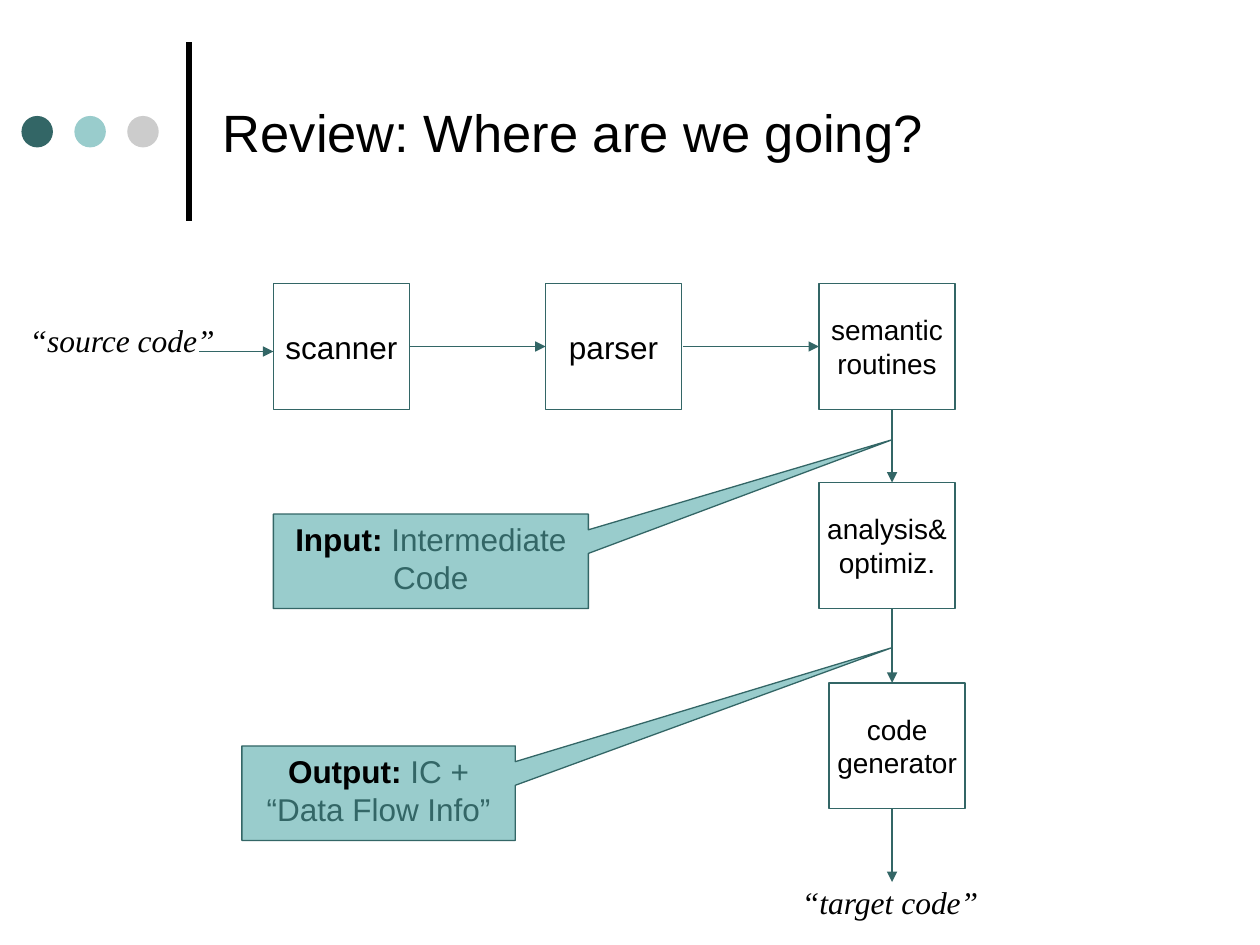
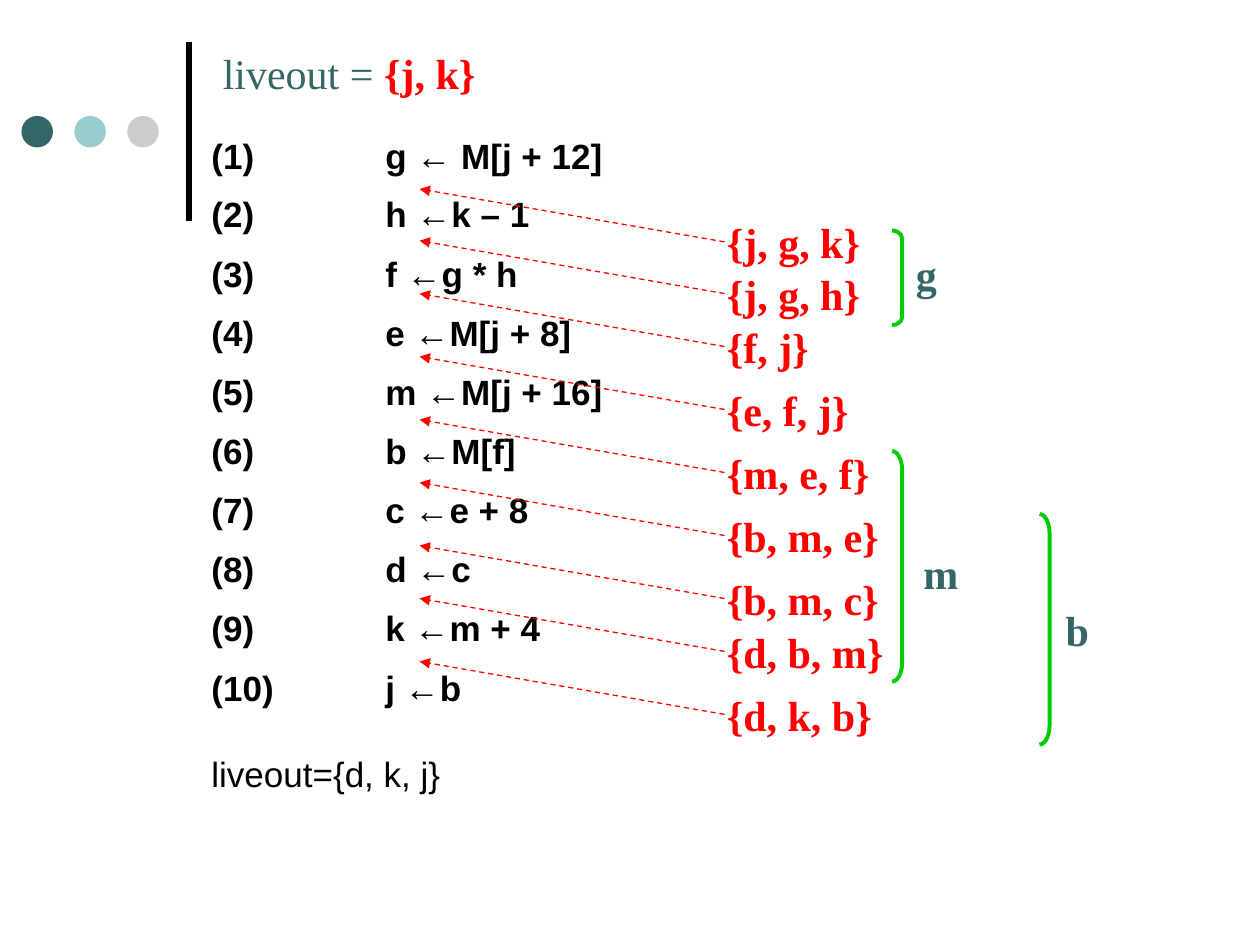
from lxml import etree
from pptx import Presentation
from pptx.dml.color import RGBColor
from pptx.enum.dml import MSO_LINE
from pptx.enum.shapes import MSO_CONNECTOR, MSO_SHAPE
from pptx.enum.text import MSO_ANCHOR, PP_ALIGN
from pptx.oxml.ns import qn
from pptx.util import Inches, Pt

RECTANGLE, ELLIPSE = MSO_SHAPE.RECTANGLE, MSO_SHAPE.OVAL
CALLOUT, BRACKET = MSO_SHAPE.RECTANGULAR_CALLOUT, MSO_SHAPE.RIGHT_BRACKET
STRAIGHT, DASH = MSO_CONNECTOR.STRAIGHT, MSO_LINE.DASH
LEFT, CENTER = PP_ALIGN.LEFT, PP_ALIGN.CENTER
TOP, MIDDLE = MSO_ANCHOR.TOP, MSO_ANCHOR.MIDDLE

# Shared look
COLORS = {"black": "000000", "white": "FFFFFF", "teal": "336666", "aqua": "99CCCC",
          "gray": "CCCCCC", "red": "FF0000", "green": "00CC00"}
SANS, SERIF = "Arial", "Times New Roman"
DOT_COLORS = ["teal", "aqua", "gray"]


def style(size, name=SANS, color="black", **extra):
    return {"size": Pt(size), "name": name, "color": color, **extra}


TITLE = style(30)
STAGE_LARGE, STAGE_SMALL = style(18), style(16)
CODE_NAME = style(18, SERIF, italic=True)
CALLOUT_HEAD, CALLOUT_BODY = style(18, bold=True), style(18, color="teal")
INSTRUCTION, SUMMARY = style(20, bold=True), style(20)
LIVE_HEAD = style(24, SERIF, "teal")
LIVE_SET = style(24, SERIF, "red", bold=True)
RANGE_NAME = style(24, SERIF, "teal", bold=True)

# Slide 1: compiler stages
PIPELINE_TITLE = "Review: Where are we going?"
STAGE_WIDTH, STAGE_HEIGHT = 1.08, 1
STAGES = [  # lines, left, top, style
    (["scanner"], 2.17, 2.25, STAGE_LARGE),
    (["parser"], 4.33, 2.25, STAGE_LARGE),
    (["semantic", "routines"], 6.5, 2.25, STAGE_SMALL),
    (["analysis&", "optimiz."], 6.5, 3.83, STAGE_SMALL),
    (["code", "generator"], 6.58, 5.42, STAGE_SMALL),
]
FLOW_X = 7.08
FLOW_ARROWS = [
    ((1.58, 2.79), (2.17, 2.79)), ((3.25, 2.75), (4.33, 2.75)), ((5.42, 2.75), (6.5, 2.75)),
    ((FLOW_X, 3.25), (FLOW_X, 3.83)), ((FLOW_X, 4.83), (FLOW_X, 5.42)),
    ((FLOW_X, 6.42), (FLOW_X, 7)),
]
CODE_NAMES = [("“target code”", (6.26, 6.96, 1.61, 0.4)),
              ("“source code”", (0.13, 2.5, 1.68, 0.4))]
CALLOUTS = [  # heading, body, place, tip height
    ("Output:", " IC + “Data Flow Info”", (1.92, 5.92, 2.17, 0.75), 5.14),
    ("Input:", " Intermediate Code", (2.17, 4.08, 2.5, 0.75), 3.49),
]

# Slide 2: liveness of each variable
INSTRUCTIONS = ["g ← M[j + 12]", "h ←k – 1", "f ←g * h", "e ←M[j + 8]", "m ←M[j + 16]",
                "b ←M[f]", "c ←e + 8", "d ←c", "k ←m + 4", "j ←b"]
LIVE_AT_END = "liveout={d, k, j}"
CODE_INDENT = 1.38
LIVE_SETS = [  # set, arrow start height
    ("{j, g, k}", 1.92), ("{j, g, h}", 2.33), ("{f, j}", 2.75),
    ("{e, f, j}", 3.25), ("{m, e, f}", 3.75), ("{b, m, e}", 4.25),
    ("{b, m, c}", 4.75), ("{d, b, m}", 5.17), ("{d, k, b}", 5.67),
]
RANGES = [  # variable, label left and top, bracket left, top and height
    ("m", (7.23, 4.3), (7.08, 3.58, 1.83)),
    ("g", (7.17, 1.92), (7.08, 1.83, 0.75)),
    ("b", (8.36, 4.75), (8.25, 4.08, 1.83)),
]
BRACKET_WIDTH = 0.08


def rgb(name):
    return RGBColor.from_string(COLORS[name])


def write(box, paragraphs, align=LEFT, anchor=TOP, wrap=True, **spacing):
    """Fill a box with paragraphs, each a list of (text, style) spans."""
    frame = box.text_frame
    frame.word_wrap = wrap
    frame.vertical_anchor = anchor
    for index, spans in enumerate(paragraphs):
        para = frame.paragraphs[0] if index == 0 else frame.add_paragraph()
        for key, value in {"alignment": align, **spacing}.items():
            setattr(para, key, value)
        for text, look in spans:
            span = para.add_run()
            span.text = text
            for key, value in look.items():
                if key == "color":
                    span.font.color.rgb = rgb(value)
                else:
                    setattr(span.font, key, value)
    return frame


def add_text(page, place, paragraphs, **options):
    box = page.shapes.add_textbox(*map(Inches, place))
    return write(box, paragraphs, **options)


def add_shape(page, kind, place, fill=None, line=None, width=0.75):
    shape = page.shapes.add_shape(kind, *map(Inches, place))
    shape.shadow.inherit = False
    if fill:
        shape.fill.solid()
        shape.fill.fore_color.rgb = rgb(fill)
    else:
        shape.fill.background()
    if line:
        shape.line.color.rgb = rgb(line)
        shape.line.width = Pt(width)
    else:
        shape.line.fill.background()
    return shape


def add_line(page, start, end, color, width=0.75, dash=None, arrow=True):
    line = page.shapes.add_connector(STRAIGHT, *map(Inches, (*start, *end)))
    line.line.color.rgb = rgb(color)
    line.line.width = Pt(width)
    if dash:
        line.line.dash_style = dash
    if arrow:
        etree.SubElement(line.line._get_or_add_ln(), qn("a:tailEnd"), type="triangle")
    etree.SubElement(line._element.spPr, qn("a:effectLst"))


def add_page(deck):
    """Blank page with the shared bar and three dots."""
    page = deck.slides.add_slide(deck.slide_layouts[6])
    add_line(page, (1.5, 1.75), (1.5, 0.33), "black", width=3, arrow=False)
    for index, color in enumerate(DOT_COLORS):
        add_shape(page, ELLIPSE, (0.17 + 0.42 * index, 0.92, 0.25, 0.25), color)
    return page


def build_pipeline(deck):
    page = add_page(deck)
    add_text(page, (1.67, 0.21, 7.67, 1.67), [[(PIPELINE_TITLE, TITLE)]], anchor=MIDDLE)
    for lines, left, top, look in STAGES:
        box = add_shape(page, RECTANGLE, (left, top, STAGE_WIDTH, STAGE_HEIGHT),
                        "white", "teal")
        write(box, [[(line, look)] for line in lines], CENTER, MIDDLE, wrap=False)
    for start, end in FLOW_ARROWS:
        add_line(page, start, end, "teal")
    for name, place in CODE_NAMES:
        add_text(page, place, [[(name, CODE_NAME)]], align=CENTER, wrap=False)
    for heading, body, place, tip_y in CALLOUTS:
        left, top, width, height = place
        box = add_shape(page, CALLOUT, place, "aqua", "teal")
        box.adjustments[0] = (FLOW_X - left) / width - 0.5
        box.adjustments[1] = (tip_y - top) / height - 0.5
        write(box, [[(heading, CALLOUT_HEAD), (body, CALLOUT_BODY)]], CENTER)


def build_liveness(deck):
    page = add_page(deck)

    # Numbered instructions, code aligned on the hanging indent
    rows = [[(f"({number})\t{code}", INSTRUCTION)]
            for number, code in enumerate(INSTRUCTIONS, 1)]
    frame = add_text(page, (1.58, 1.08, 4.27, 5.5), rows + [[(LIVE_AT_END, SUMMARY)]],
                     line_spacing=1.2, space_before=Pt(5))
    first, *middle, last = frame.paragraphs
    first.line_spacing = last.line_spacing = 0.8
    last.space_before = Pt(30)
    for para in (first, *middle):
        properties = para._p.get_or_add_pPr()
        properties.set("marL", str(Inches(CODE_INDENT)))
        properties.set("indent", str(-Inches(CODE_INDENT)))

    # Live sets, each pointing between two instructions
    for text, y in LIVE_SETS:
        add_text(page, (5.67, y - 0.17, 1.5, 0.42), [[(text, LIVE_SET)]],
                 line_spacing=0.8, space_before=Pt(6))
        add_line(page, (5.75, y), (3.33, y - 0.42), "red", dash=DASH)
    add_text(page, (1.67, 0.33, 2.6, 0.5), [[("liveout = ", LIVE_HEAD), ("{j, k}", LIVE_SET)]])

    # Live ranges
    for name, corner, (left, top, height) in RANGES:
        bracket = add_shape(page, BRACKET, (left, top, BRACKET_WIDTH, height),
                            line="green", width=2.25)
        bracket.adjustments[0] = height / 12 / BRACKET_WIDTH
        add_text(page, (*corner, 0.5, 0.5), [[(name, RANGE_NAME)]])


def main():
    deck = Presentation()
    deck.slide_width, deck.slide_height = Inches(10), Inches(7.5)
    build_pipeline(deck)
    build_liveness(deck)
    deck.save("out.pptx")


if __name__ == "__main__":
    main()
